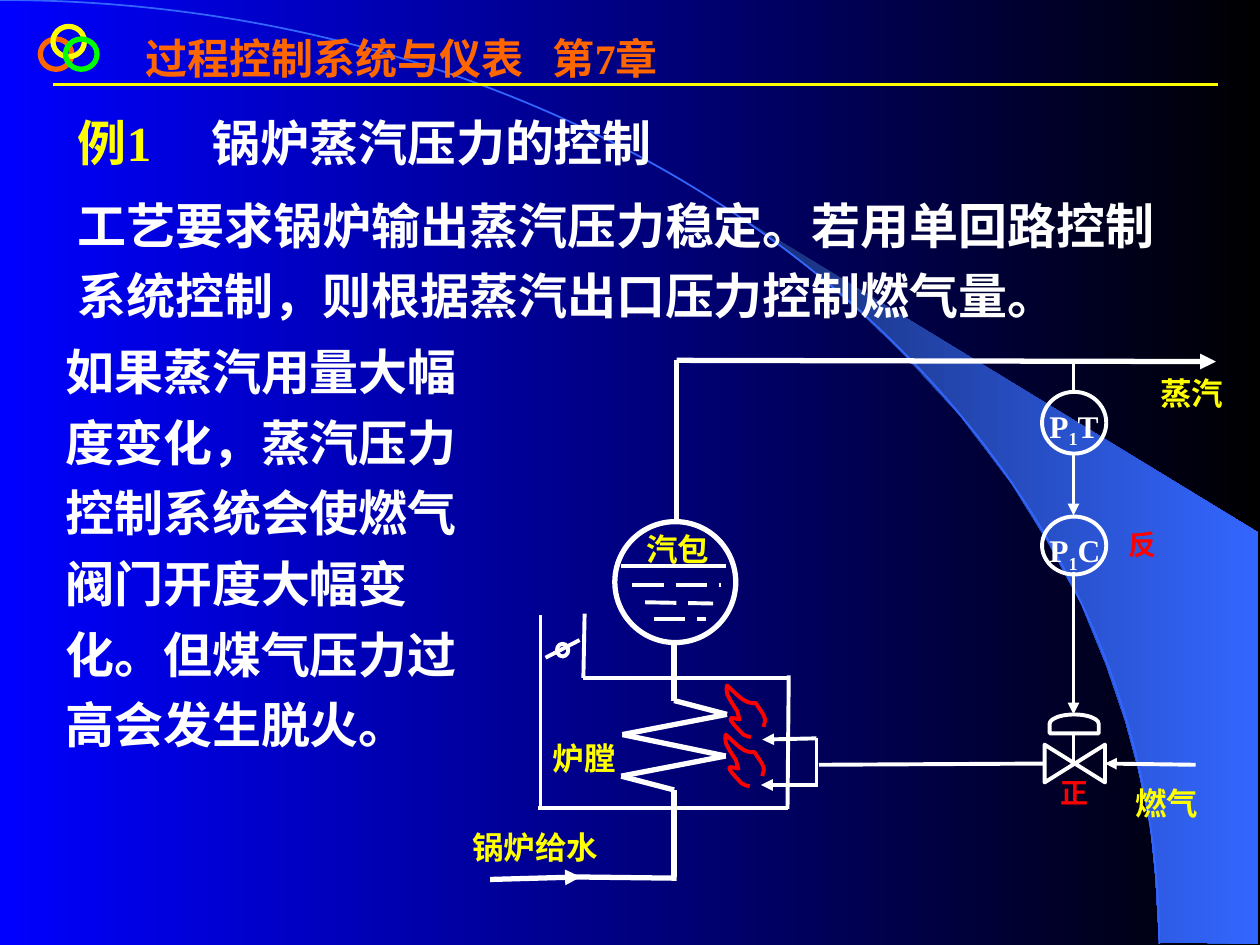
"""Build the boiler steam pressure control slide."""
from itertools import pairwise

from lxml import etree
from pptx import Presentation
from pptx.dml.color import RGBColor
from pptx.enum.dml import MSO_LINE
from pptx.enum.shapes import MSO_CONNECTOR, MSO_SHAPE
from pptx.enum.text import PP_ALIGN
from pptx.oxml.ns import qn
from pptx.util import Inches, Pt

STRAIGHT = MSO_CONNECTOR.STRAIGHT
OVAL = MSO_SHAPE.OVAL
NODE = MSO_SHAPE.FLOWCHART_CONNECTOR
COLLATE = MSO_SHAPE.FLOWCHART_COLLATE
DELAY = MSO_SHAPE.FLOWCHART_DELAY
LONG_DASH = MSO_LINE.LONG_DASH
JUSTIFY = PP_ALIGN.JUSTIFY

FONT = "Times New Roman"
WHITE = RGBColor(0xFF, 0xFF, 0xFF)
BLACK = RGBColor(0, 0, 0)
BLUE = RGBColor(0, 0, 0xFF)
NAVY = RGBColor(0x18, 0x2F, 0x76)
SKY = RGBColor(0x33, 0x66, 0xFF)
YELLOW = RGBColor(0xFF, 0xFF, 0)
ORANGE = RGBColor(0xFF, 0x66, 0)
GREEN = RGBColor(0, 0xFF, 0)
RED = RGBColor(0xFF, 0, 0)
THIN, THICK = 2.25, 3

TITLE = [[("过程控制系统与仪表\t第7章", ORANGE)]]
INTRO = [
    [("例1\t", YELLOW), ("锅炉蒸汽压力的控制", WHITE)],
    [("工艺要求锅炉输出蒸汽压力稳定。若用单回路控制系统控制，则根据蒸汽出口压力控制燃气量。", WHITE)],
]
PROBLEM = [[("如果蒸汽用量大幅度变化，蒸汽压力控制系统会使燃气阀门开度大幅变化。但煤气压力过高会发生脱火。", WHITE)]]
LABELS = [
    ("燃气", 8.91, 6.11, 0.81),
    ("锅炉给水", 3.65, 6.46, 1.46),
    ("蒸汽", 9.11, 2.86, 0.89),
    ("汽包", 5.03, 4.1, 0.89),
    ("炉膛", 4.29, 5.76, 0.8),
]
INSTRUMENTS = [("T", 3.11, 0.49), ("C", 4.1, 0.46)]
ACTIONS = [("正", 8.32, 6.11), ("反", 8.86, 4.14)]

RINGS = [(0.32, 0.31, ORANGE), (0.42, 0.21, YELLOW), (0.52, 0.31, GREEN)]
SYMBOLS = [
    (OVAL, (4.88, 4.14, 0.96, 0.96), THICK, 0),
    (NODE, (4.42, 5.11, 0.09, 0.1), THIN, 0),
    (COLLATE, (8.38, 5.82, 0.3, 0.48), THIN, 270),
    (DELAY, (8.45, 5.55, 0.15, 0.39), THIN, 270),
]

BEAM = [
    (9.2, 7.48), (9.99, 7.49), (9.99, 4.23), (5.89, 1.73), (6.24, 1.99), (6.53, 2.22),
    (6.85, 2.5), (7.16, 2.8), (7.62, 3.3), (8.03, 3.84), (8.32, 4.31), (8.58, 4.79),
    (8.78, 5.28), (8.93, 5.72), (9.03, 6.09), (9.13, 6.56), (9.17, 6.96),
]
ARC = [(0, 0), (5.08, 0), (9.2, 3.35), (9.2, 7.49)]
FLAME = [
    (5.96, 5.85), (5.94, 5.84), (5.92, 5.85), (5.9, 5.83), (5.73, 5.66), (5.81, 5.7),
    (5.87, 5.71), (5.86, 5.69), (5.86, 5.67), (5.85, 5.64), (5.84, 5.63), (5.77, 5.52),
    (5.77, 5.5), (5.76, 5.48), (5.77, 5.46), (5.77, 5.44), (5.86, 5.52), (5.91, 5.59),
    (6, 5.58), (6.02, 5.62), (6.06, 5.66), (6.07, 5.7), (6.08, 5.73), (6.06, 5.74), (6.06, 5.77),
]
FLAME_OFFSETS = [(0, 0), (-0.01, 0.39)]

COIL = [(5.35, 5.11), (5.35, 5.56), (5.77, 5.67), (4.94, 5.83),
        (5.76, 6), (4.93, 6.16), (5.35, 6.27), (5.35, 6.96)]
THICK_PIPES = [COIL, [(5.37, 6.97), (4.56, 6.96)], [(5.37, 4.14), (5.37, 2.86)]]
THIN_PIPES = [
    [(4.29, 4.88), (4.29, 6.41)],
    [(6.26, 5.36), (6.25, 6.42)],
    [(4.27, 6.41), (6.25, 6.41)],
    [(4.64, 4.87), (4.63, 5.38), (6.26, 5.38)],
    [(4.93, 4.49), (5.76, 4.49)],
    [(4.33, 5.22), (4.6, 5.08)],
    [(6.5, 6.07), (8.3, 6.06)],
    [(6.48, 5.86), (6.48, 6.23)],
    [(8.52, 2.87), (8.52, 3.11)],
    [(8.52, 5.82), (8.52, 6.06)],
]
WATER = [((5.02, 4.64), (5.72, 4.64)), ((5.12, 4.78), (5.66, 4.79)), ((5.19, 4.91), (5.6, 4.91))]
ARROWS = [
    ((3.89, 6.98), (4.61, 6.96), THICK),
    ((5.37, 2.86), (9.65, 2.87), THICK),
    ((9.49, 6.07), (8.77, 6.06), THIN),
    ((6.49, 6.23), (6.04, 6.23), THIN),
    ((6.48, 5.86), (6.05, 5.87), THIN),
    ((8.52, 3.6), (8.52, 4.09), THIN),
    ((8.52, 4.54), (8.52, 5.67), THIN),
]

prs = Presentation()
prs.slide_width, prs.slide_height = Inches(10), Inches(7.5)
s = prs.slides.add_slide(prs.slide_layouts[6])


def set_gradient(fill, *colors):
    fill.gradient()
    fill.gradient_angle = 0
    for stop, color in zip(fill.gradient_stops, colors):
        stop.color.rgb = color


def set_line(line, color, width):
    line.color.rgb = color
    line.width = Pt(width)


def add_line(start, end, width, color=WHITE, dash=None, arrow=False):
    cn = s.shapes.add_connector(STRAIGHT, *map(Inches, start + end))
    set_line(cn.line, color, width)
    if dash:
        cn.line.dash_style = dash
    if arrow:
        etree.SubElement(cn.line._get_or_add_ln(), qn("a:tailEnd"), type="triangle")
    etree.SubElement(cn._element.spPr, qn("a:effectLst"))


def add_outline(kind, box, color, width, rotation=0):
    sp = s.shapes.add_shape(kind, *map(Inches, box))
    sp.shadow.inherit = False
    sp.fill.background()
    set_line(sp.line, color, width)
    sp.rotation = rotation


def add_polygon(points, close=False):
    first, *rest = [(Inches(x), Inches(y)) for x, y in points]
    builder = s.shapes.build_freeform(*first)
    builder.add_line_segments(rest, close=close)
    sp = builder.convert_to_shape()
    sp.shadow.inherit = False
    return sp


def add_curve(knots, color, width):
    sp = add_polygon(knots)
    segments = list(sp._element.iter(qn("a:lnTo")))
    for i in range(0, len(segments), 3):
        curve, *others = segments[i:i + 3]
        curve.tag = qn("a:cubicBezTo")
        for segment in others:
            curve.append(segment[0])
            segment.getparent().remove(segment)
    sp.fill.background()
    set_line(sp.line, color, width)


def add_text(box, paragraphs, size, spacing=None, before=0, align=None, tab=None):
    tf = s.shapes.add_textbox(*map(Inches, box)).text_frame
    tf.word_wrap = True
    for i, runs in enumerate(paragraphs):
        p = tf.add_paragraph() if i else tf.paragraphs[0]
        pPr = p._p.get_or_add_pPr()
        pPr.set("hangingPunct", "0")
        if tab and "\t" in runs[0][0]:
            tabs = etree.SubElement(pPr, qn("a:tabLst"))
            etree.SubElement(tabs, qn("a:tab"), pos=str(Inches(tab)), algn="l")
        p.alignment = align
        p.line_spacing = spacing
        if i:
            p.space_before = Pt(before)
        for text, color, *baseline in runs:
            r = p.add_run()
            r.text = text
            r.font.name, r.font.size, r.font.bold = FONT, Pt(size), True
            r.font.color.rgb = color
            if baseline:
                r.font._element.set("baseline", str(baseline[0]))


set_gradient(s.background.fill, BLUE, BLACK)
beam = add_polygon(BEAM, close=True)
set_gradient(beam.fill, NAVY, SKY)
beam.line.fill.background()
add_curve(ARC, SKY, 1)

add_line((0.42, 0.67), (9.67, 0.67), 1.5, YELLOW)
for x, y, color in RINGS:
    add_outline(OVAL, (x, y, 0.25, 0.24), color, 3)
add_text((1.06, 0.21, 4.49, 0.9), TITLE, 24, tab=3.23)
add_text((0.52, 0.75, 8.91, 1.88), INTRO, 28, 1.2, 7, tab=1.06)
add_text((0.42, 2.57, 3.59, 3.46), PROBLEM, 28, 1.2)

for pipes, width in ((THIN_PIPES, THIN), (THICK_PIPES, THICK)):
    for pipe in pipes:
        for start, end in pairwise(pipe):
            add_line(start, end, width)
for start, end in WATER:
    add_line(start, end, THIN, dash=LONG_DASH)
for start, end, width in ARROWS:
    add_line(start, end, width, arrow=True)
for dx, dy in FLAME_OFFSETS:
    add_curve([(x + dx, y + dy) for x, y in FLAME], RED, THIN)
for kind, box, width, rotation in SYMBOLS:
    add_outline(kind, box, WHITE, width, rotation)

for text, x, y, w in LABELS:
    add_text((x, y, w, 0.44), [[(text, YELLOW)]], 18, 1.2, align=JUSTIFY)
for letter, y, h in INSTRUMENTS:
    add_outline(OVAL, (8.27, y, 0.51, h), WHITE, THIN)
    tag = [("P", WHITE), ("1", WHITE, -25000), (letter, WHITE)]
    add_text((8.23, y, 0.64, 0.36), [tag], 18, 1.2, align=JUSTIFY)
for text, x, y in ACTIONS:
    add_text((x, y, 0.58, 0.37), [[(text, RED)]], 16)

prs.save("out.pptx")
